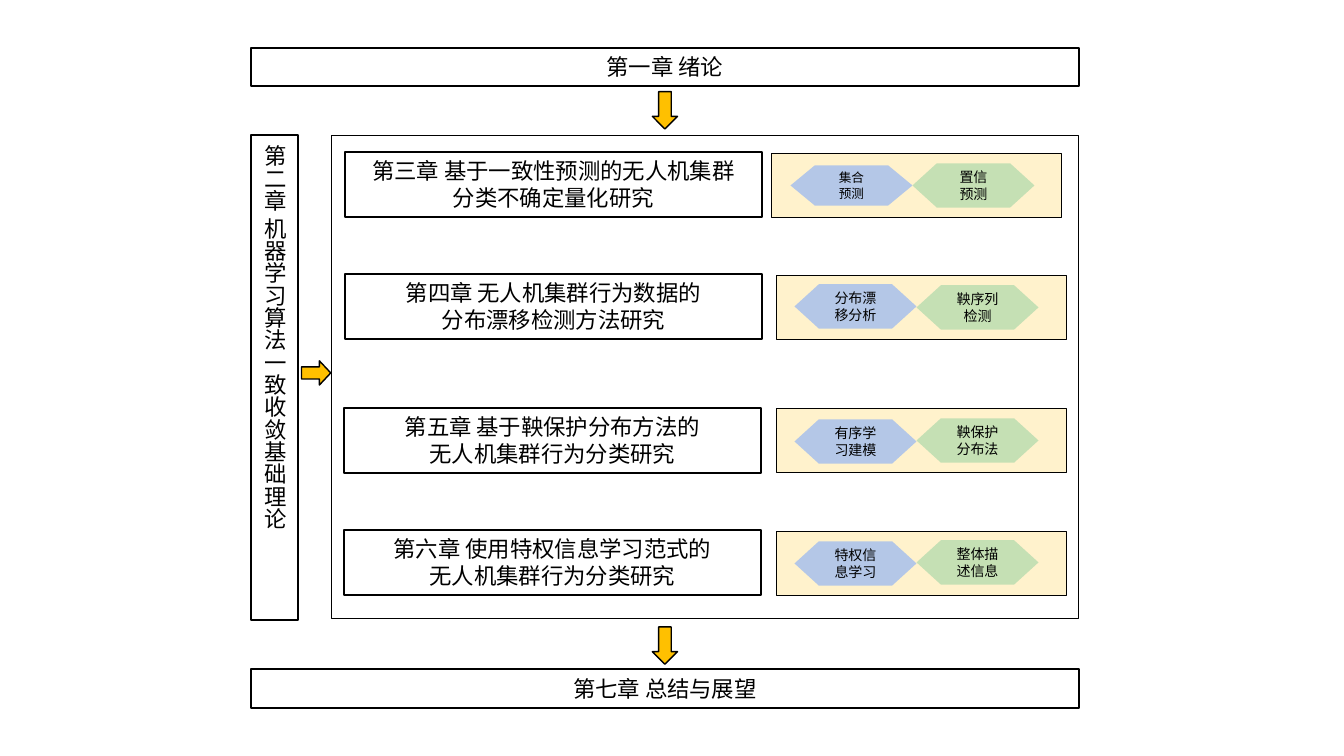
from dataclasses import dataclass
from typing import NamedTuple

from pptx import Presentation
from pptx.dml.color import RGBColor
from pptx.enum.shapes import MSO_SHAPE as Preset
from pptx.enum.text import MSO_ANCHOR as Anchor, MSO_AUTO_SIZE as AutoSize, PP_ALIGN as Align
from pptx.shapes.autoshape import Shape
from pptx.shapes.shapetree import SlideShapes
from pptx.util import Inches, Pt

GRID = Inches(0.1)
SLIDE_COLUMNS, SLIDE_ROWS = 133.3, 75


@dataclass(frozen=True)
class Theme:
    font: str = "Noto Sans CJK SC"
    ink: str = "000000"
    panel: str = "FFF2CC"
    blue: str = "B4C7E7"
    green: str = "C5E0B4"
    arrow: str = "FFC000"
    chapter_size: float = 16
    method_size: float = 10
    small_size: float = 9
    thin: float = 0.75
    medium: float = 1
    thick: float = 1.5


THEME = Theme()


class Box(NamedTuple):
    """A place on the grid, in columns and rows."""
    column: float
    row: float
    columns: float
    rows: float


class Method(NamedTuple):
    text: str
    row: float
    rows: float = 4.4
    size: float = THEME.method_size


class Chapter(NamedTuple):
    title: str
    title_column: float
    title_row: float
    panel_column: float
    panel_row: float
    method_column: float
    blue: Method
    green: Method


class Arrow(NamedTuple):
    preset: Preset
    box: Box
    adjustments: tuple[float, ...] = ()


FRAME = Box(32.9, 13.4, 74.1, 48)
THEORY = Box(24.9, 13.4, 4.7, 48.1)
THEORY_TITLE = "第二章 机器学习算法一致收敛基础理论"
TITLE_COLUMNS, PANEL_COLUMNS, CHAPTER_ROWS = 41.4, 28.8, 6.4
METHOD_COLUMNS = 12.1

BARS = {
    "第一章 绪论": Box(24.9, 4.8, 82.1, 3.7),
    "第七章 总结与展望": Box(24.9, 66.4, 82.1, 3.8),
}
CHAPTERS = (
    Chapter("第三章 基于一致性预测的无人机集群\n分类不确定量化研究", 34.2, 15.1, 76.5, 15.2, 78.4,
            Method("集合\n预测", 16.4, 4, THEME.small_size), Method("置信\n预测", 16.2)),
    Chapter("第四章 无人机集群行为数据的\n分布漂移检测方法研究", 34.2, 27.2, 77, 27.3, 78.8,
            Method("分布漂移分析", 28.2), Method("鞅序列\n检测", 28.3)),
    Chapter("第五章 基于鞅保护分布方法的\n无人机集群行为分类研究", 34.1, 40.5, 77, 40.5, 78.8,
            Method("有序学习建模", 41.6), Method("鞅保护分布法", 41.5)),
    Chapter("第六章 使用特权信息学习范式的\n无人机集群行为分类研究", 34.1, 52.6, 77, 52.7, 78.8,
            Method("特权信息学习", 53.7), Method("整体描\n述信息", 53.6)),
)
ARROWS = (
    Arrow(Preset.RIGHT_ARROW, Box(29.9, 35.8, 2.9, 2.4), (0.5, 0.468)),
    Arrow(Preset.DOWN_ARROW, Box(64.7, 9.1, 2.5, 3.7)),
    Arrow(Preset.DOWN_ARROW, Box(64.7, 62.2, 2.5, 3.7)),
)


def add_block(shapes: SlideShapes, box: Box, preset: Preset = Preset.RECTANGLE,
              fill: str | None = None, line_width: float | None = None) -> Shape:
    """Draw a shape; without fill or line_width that part stays empty."""
    shape = shapes.add_shape(preset, *(round(length * GRID) for length in box))
    shape.shadow.inherit = False
    if fill is None:
        shape.fill.background()
    else:
        shape.fill.solid()
        shape.fill.fore_color.rgb = RGBColor.from_string(fill)
    if line_width is None:
        shape.line.fill.background()
    else:
        shape.line.color.rgb = RGBColor.from_string(THEME.ink)
        shape.line.width = Pt(line_width)
    return shape


def write_text(shape: Shape, text: str, *, size: float = THEME.chapter_size,
               vertical: bool = False) -> None:
    frame = shape.text_frame
    frame.text = text
    frame.word_wrap = True
    frame.auto_size = AutoSize.SHAPE_TO_FIT_TEXT
    frame.vertical_anchor = Anchor.MIDDLE
    if vertical:
        frame._txBody.bodyPr.set("vert", "eaVert")
    for paragraph in frame.paragraphs:
        paragraph.alignment = Align.CENTER
        for run in paragraph.runs:
            run.font.size = Pt(size)
            run.font.name = THEME.font
            run.font.color.rgb = RGBColor.from_string(THEME.ink)
            east_asian = run.font._element.makeelement(
                "{http://schemas.openxmlformats.org/drawingml/2006/main}ea",
                {"typeface": THEME.font})
            run.font._element.append(east_asian)


def add_title(shapes: SlideShapes, text: str, box: Box, vertical: bool = False) -> None:
    write_text(add_block(shapes, box, line_width=THEME.thick), text, vertical=vertical)


def add_chapter(shapes: SlideShapes, chapter: Chapter) -> None:
    """Draw a chapter title with its panel of two methods."""
    panel = Box(chapter.panel_column, chapter.panel_row, PANEL_COLUMNS, CHAPTER_ROWS)
    add_block(shapes, panel, fill=THEME.panel, line_width=THEME.thin)
    add_title(shapes, chapter.title,
              Box(chapter.title_column, chapter.title_row, TITLE_COLUMNS, CHAPTER_ROWS))
    methods = ((chapter.blue, THEME.blue), (chapter.green, THEME.green))
    for index, (method, colour) in enumerate(methods):
        box = Box(chapter.method_column + index * METHOD_COLUMNS, method.row,
                  METHOD_COLUMNS, method.rows)
        hexagon = add_block(shapes, box, Preset.FLOWCHART_PREPARATION, fill=colour)
        write_text(hexagon, method.text, size=method.size)


def add_arrow(shapes: SlideShapes, arrow: Arrow) -> None:
    shape = add_block(shapes, arrow.box, arrow.preset, THEME.arrow, THEME.medium)
    for index, value in enumerate(arrow.adjustments):
        shape.adjustments[index] = value


def main() -> None:
    presentation = Presentation()
    presentation.slide_width = round(SLIDE_COLUMNS * GRID)
    presentation.slide_height = SLIDE_ROWS * GRID
    shapes = presentation.slides.add_slide(presentation.slide_layouts[6]).shapes

    add_block(shapes, FRAME, line_width=THEME.thin)
    for title, box in BARS.items():
        add_title(shapes, title, box)
    add_title(shapes, THEORY_TITLE, THEORY, vertical=True)
    for chapter in CHAPTERS:
        add_chapter(shapes, chapter)
    for arrow in ARROWS:
        add_arrow(shapes, arrow)
    presentation.save("out.pptx")


if __name__ == "__main__":
    main()
